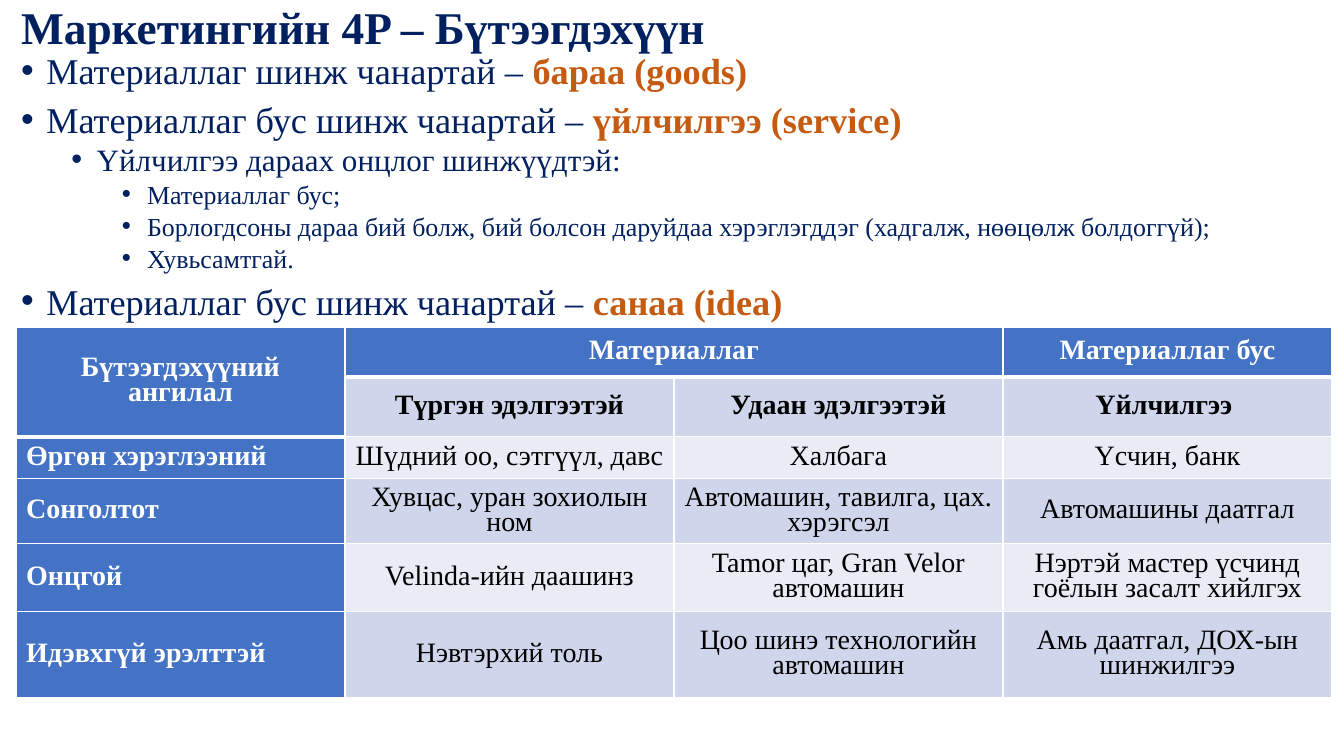
from dataclasses import dataclass

from lxml.etree import SubElement
from pptx import Presentation
from pptx.dml.color import RGBColor
from pptx.enum.text import MSO_ANCHOR, MSO_AUTO_SIZE, PP_ALIGN
from pptx.oxml.ns import qn
from pptx.slide import Slide
from pptx.table import _Cell
from pptx.text.text import _Paragraph
from pptx.util import Emu, Pt

PX = 914400 / 100.8
FONT = "Times New Roman"
NAVY = RGBColor(0x00, 0x20, 0x60)
ORANGE = RGBColor(0xC5, 0x5A, 0x11)
WHITE = RGBColor(0xFF, 0xFF, 0xFF)
BLACK = RGBColor(0x00, 0x00, 0x00)
BLUE = RGBColor(0x44, 0x72, 0xC4)
BAND_DARK = RGBColor(0xCF, 0xD5, 0xEA)
BAND_LIGHT = RGBColor(0xE9, 0xEB, 0xF5)


@dataclass(frozen=True)
class Level:
    size: float
    space_before: int


@dataclass(frozen=True)
class Bullet:
    text: str
    level: int = 0
    highlight: str = ""


LEVELS = [Level(25.9, 10), Level(22.2, 5), Level(18.5, 5)]
TITLE = "Маркетингийн 4P – Бүтээгдэхүүн"
BULLETS = [
    Bullet("Материаллаг шинж чанартай – ", highlight="бараа (goods)"),
    Bullet("Материаллаг бус шинж чанартай – ", highlight="үйлчилгээ (service)"),
    Bullet("Үйлчилгээ дараах онцлог шинжүүдтэй:", 1),
    Bullet("Материаллаг бус;", 2),
    Bullet("Борлогдсоны дараа бий болж, бий болсон даруйдаа хэрэглэгддэг "
           "(хадгалж, нөөцөлж болдоггүй);", 2),
    Bullet("Хувьсамтгай.", 2),
    Bullet("Материаллаг бус шинж чанартай – ", highlight="санаа (idea)"),
]
COLUMN_WIDTH = 329
ROW_HEIGHTS = [50, 59, 42, 65, 68, 86]
ROWS = [
    ["Бүтээгдэхүүний ангилал", "Материаллаг", "", "Материаллаг бус"],
    ["", "Түргэн эдэлгээтэй", "Удаан эдэлгээтэй", "Үйлчилгээ "],
    ["Өргөн хэрэглээний", "Шүдний оо, сэтгүүл, давс", "Халбага", "Үсчин, банк"],
    ["Сонголтот", "Хувцас, уран зохиолын ном", "Автомашин, тавилга, цах. хэрэгсэл",
     "Автомашины даатгал"],
    ["Онцгой", "Velinda-ийн даашинз", "Tamor цаг, Gran Velor автомашин",
     "Нэртэй мастер үсчинд гоёлын засалт хийлгэх"],
    ["Идэвхгүй эрэлттэй", "Нэвтэрхий толь", "Цоо шинэ технологийн автомашин",
     "Амь даатгал, ДОХ-ын шинжилгээ"],
]


def px(length: int) -> Emu:
    return Emu(round(length * PX))


def set_values(target: object, values: dict[str, object]) -> None:
    for name, value in values.items():
        setattr(target, name, value)


def add_span(para: _Paragraph, text: str, size: float, color: RGBColor, bold: bool) -> None:
    span = para.add_run()
    span.text = text
    set_values(span.font, {"name": FONT, "size": Pt(size), "bold": bold})
    span.font.color.rgb = color


def place(box: object, left: int, top: int, width: int, height: int) -> None:
    set_values(box, {"left": px(left), "top": px(top),
                     "width": px(width), "height": px(height)})
    set_values(box.text_frame, {"word_wrap": True, "auto_size": MSO_AUTO_SIZE.NONE})


def add_title(page: Slide) -> None:
    box = page.shapes.title
    place(box, 11, 8, 1317, 44)
    box.text_frame.vertical_anchor = MSO_ANCHOR.MIDDLE
    para = box.text_frame.paragraphs[0]
    set_values(para, {"alignment": PP_ALIGN.LEFT, "line_spacing": 0.9})
    add_span(para, TITLE, 32.4, NAVY, True)


def set_bullet(para: _Paragraph, level: int) -> None:
    properties = para._p.get_or_add_pPr()
    properties.set("marL", str(228600 + 457200 * level))
    properties.set("indent", "-228600")
    SubElement(properties, qn("a:buFont")).set("typeface", "Arial")
    SubElement(properties, qn("a:buChar")).set("char", "•")


def add_bullets(page: Slide) -> None:
    box = page.placeholders[1]
    place(box, 11, 52, 1317, 293)
    frame = box.text_frame
    frame.vertical_anchor = MSO_ANCHOR.TOP
    for index, bullet in enumerate(BULLETS):
        para = frame.add_paragraph() if index else frame.paragraphs[0]
        level = LEVELS[bullet.level]
        set_bullet(para, bullet.level)
        set_values(para, {"level": bullet.level, "line_spacing": 0.8,
                          "space_before": Pt(level.space_before if index else 0),
                          "space_after": Pt(0)})
        add_span(para, bullet.text, level.size, NAVY, False)
        if bullet.highlight:
            add_span(para, bullet.highlight, level.size, ORANGE, True)


def set_borders(cell: _Cell, top: int, bottom: int) -> None:
    properties = cell._tc.get_or_add_tcPr()
    for side, width in {"L": 1, "R": 1, "T": top, "B": bottom}.items():
        line = SubElement(properties, qn(f"a:ln{side}"), w=str(Pt(width)))
        fill = SubElement(line, qn("a:solidFill"))
        SubElement(fill, qn("a:srgbClr")).set("val", str(WHITE))


def format_cell(cell: _Cell, row: int, column: int) -> None:
    is_blue = row == 0 or column == 0
    last_header_row = 1 if column == 0 else 0
    set_borders(cell, top=3 if row == last_header_row + 1 else 1,
                bottom=3 if row == last_header_row or row == column == 0 else 1)
    cell.fill.solid()
    cell.fill.fore_color.rgb = BLUE if is_blue else BAND_DARK if row % 2 else BAND_LIGHT
    cell.vertical_anchor = MSO_ANCHOR.MIDDLE
    if not ROWS[row][column]:
        return
    para = cell.text_frame.paragraphs[0]
    is_row_label = column == 0 and row > 1
    set_values(para, {"alignment": PP_ALIGN.LEFT if is_row_label else PP_ALIGN.CENTER,
                      "line_spacing": 0.8})
    add_span(para, ROWS[row][column], 20, WHITE if is_blue else BLACK, is_blue or row == 1)


def add_product_table(page: Slide) -> None:
    columns = len(ROWS[0])
    table = page.shapes.add_table(len(ROWS), columns, px(16), px(327),
                                  px(COLUMN_WIDTH * columns), px(sum(ROW_HEIGHTS))).table
    set_values(table, {"first_row": False, "horz_banding": False})
    for column in table.columns:
        column.width = px(COLUMN_WIDTH)
    for row, height in zip(table.rows, ROW_HEIGHTS):
        row.height = px(height)
    table.cell(0, 0).merge(table.cell(1, 0))
    table.cell(0, 1).merge(table.cell(0, 2))
    for row in range(len(ROWS)):
        for column in range(columns):
            format_cell(table.cell(row, column), row, column)


def main() -> None:
    deck = Presentation()
    set_values(deck, {"slide_width": px(1344), "slide_height": px(756)})
    page = deck.slides.add_slide(deck.slide_layouts[1])
    add_title(page)
    add_bullets(page)
    add_product_table(page)
    deck.save("out.pptx")


if __name__ == "__main__":
    main()
